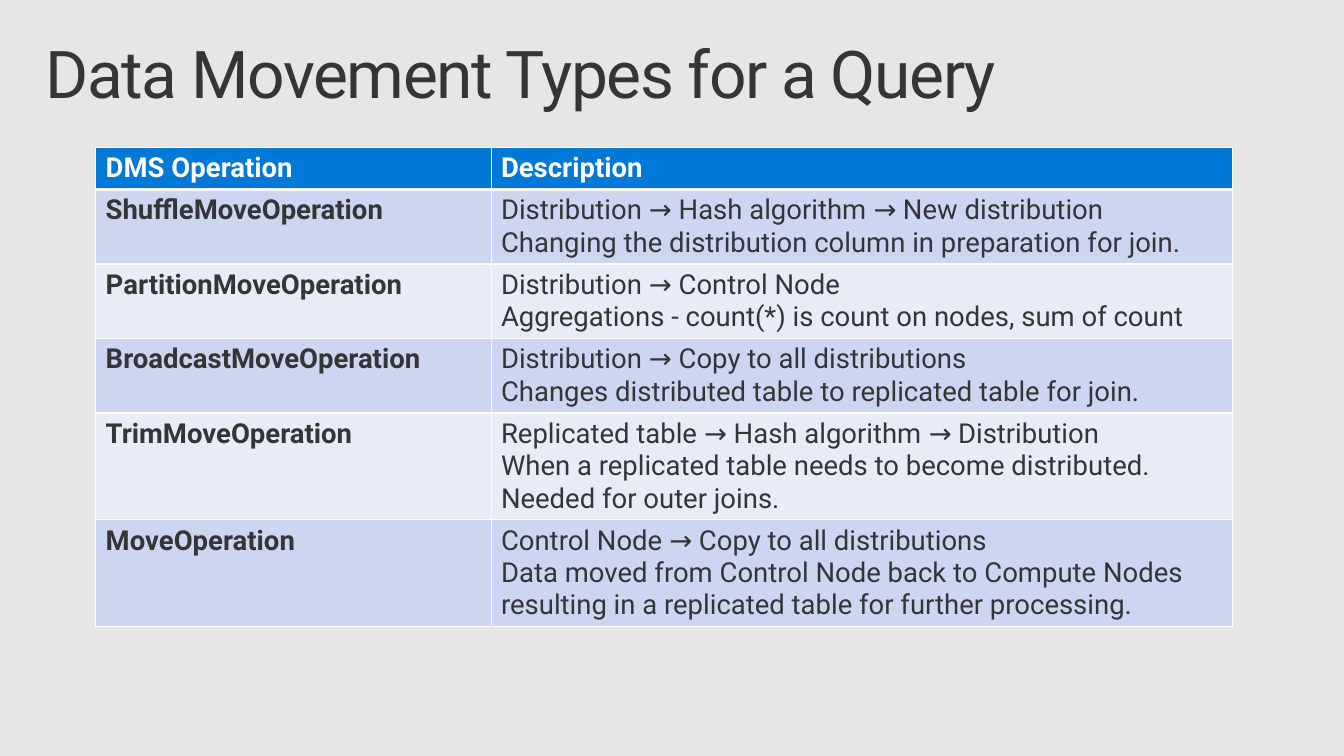
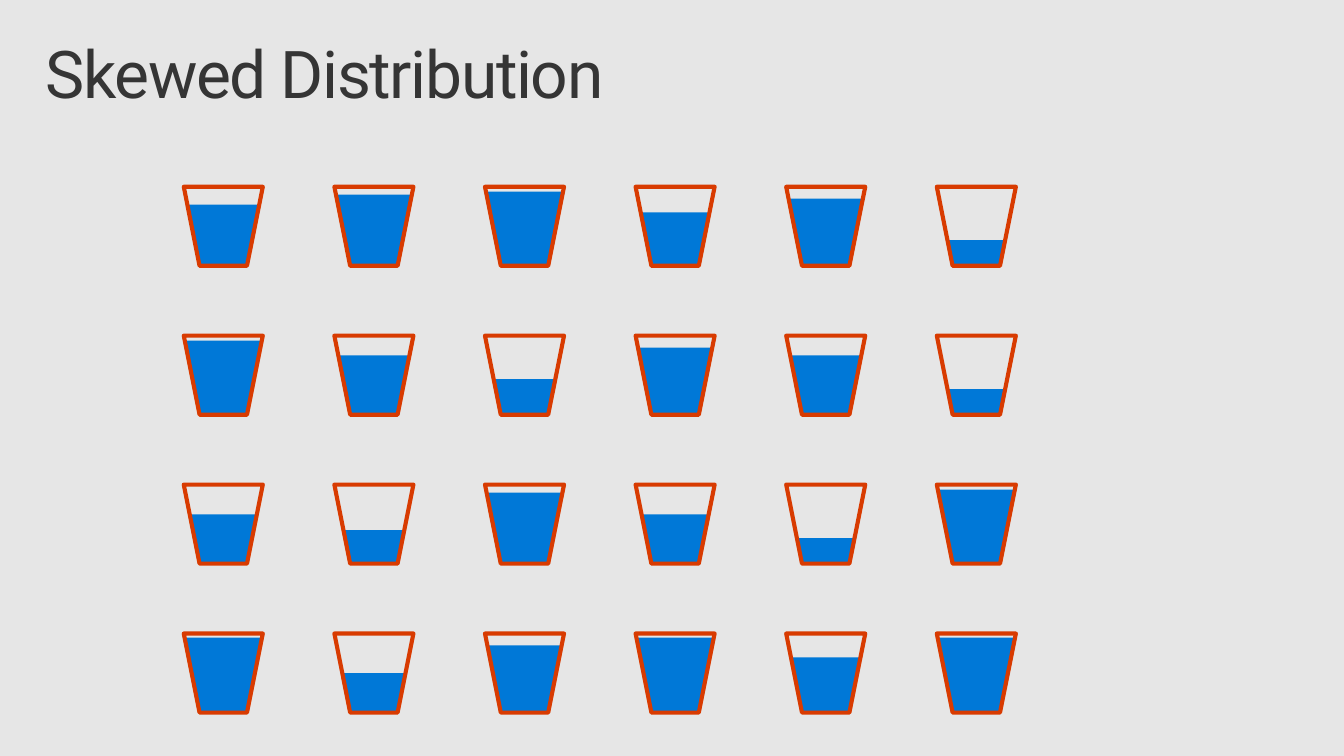
from dataclasses import dataclass

from lxml import etree
from pptx import Presentation
from pptx.dml.color import RGBColor
from pptx.enum.shapes import MSO_SHAPE
from pptx.enum.text import MSO_ANCHOR, MSO_AUTO_SIZE, PP_ALIGN
from pptx.oxml.ns import qn
from pptx.slide import Slide
from pptx.table import _Cell
from pptx.text.text import _Paragraph
from pptx.util import Inches, Pt

CUP = MSO_SHAPE.FLOWCHART_MANUAL_OPERATION
WATER = MSO_SHAPE.TRAPEZOID
TOP, MIDDLE = MSO_ANCHOR.TOP, MSO_ANCHOR.MIDDLE
LEFT = PP_ALIGN.LEFT
NO_FIT = MSO_AUTO_SIZE.NONE
TITLE_ONLY = 5


@dataclass(frozen=True)
class Theme:
    font: str = "Roboto"
    background: str = "E6E6E6"
    text: str = "353535"
    white: str = "FFFFFF"
    blue: str = "0078D7"
    orange: str = "D83B01"
    bands: tuple[str, str] = ("CCD6F0", "E7ECF8")
    title_size: int = 48
    table_size: int = 20
    thin: int = 1
    thick: int = 3


@dataclass(frozen=True)
class Operation:
    name: str
    description: tuple[str, ...]


@dataclass(frozen=True)
class CupGrid:
    """Cup positions and proportions, in inches."""
    left: float = 1.86
    top: float = 1.89
    col_step: float = 1.524
    row_step: float = 1.507
    size: float = 0.8
    base: float = 0.48
    taper: float = 0.22


THEME = Theme()
GRID = CupGrid()

OPERATIONS = (
    Operation("ShuffleMoveOperation", (
        "Distribution → Hash algorithm → New distribution",
        "Changing the distribution column in preparation for join.")),
    Operation("PartitionMoveOperation", (
        "Distribution → Control Node",
        "Aggregations - count(*) is count on nodes, sum of count")),
    Operation("BroadcastMoveOperation", (
        "Distribution → Copy to all distributions",
        "Changes distributed table to replicated table for join.")),
    Operation("TrimMoveOperation", (
        "Replicated table → Hash algorithm → Distribution",
        "When a replicated table needs to become distributed.",
        "Needed for outer joins.")),
    Operation("MoveOperation", (
        "Control Node → Copy to all distributions",
        "Data moved from Control Node back to Compute Nodes "
        "resulting in a replicated table for further processing.")),
)

# Water depth in each cup, in inches
WATER_DEPTHS = (
    (0.62, 0.72, 0.75, 0.54, 0.68, 0.26),
    (0.75, 0.60, 0.36, 0.68, 0.60, 0.26),
    (0.50, 0.34, 0.72, 0.50, 0.26, 0.75),
    (0.76, 0.40, 0.68, 0.76, 0.56, 0.76),
)


def rgb(color: str) -> RGBColor:
    return RGBColor.from_string(color)


def add_run(p: _Paragraph, text: str, size: int, color: str, bold: bool = False):
    r = p.add_run()
    r.text = text
    r.font.name = THEME.font
    r.font.size = Pt(size)
    r.font.bold = bold
    r.font.color.rgb = rgb(color)
    return r


def add_slide(prs, title: str) -> Slide:
    s = prs.slides.add_slide(prs.slide_layouts[TITLE_ONLY])
    sp = s.shapes.title
    sp.left, sp.top, sp.width, sp.height = map(Inches, (0.3, 0.32, 13, 1))
    tf = sp.text_frame
    tf.word_wrap = True
    tf.auto_size = NO_FIT
    tf.vertical_anchor = TOP
    tf.margin_left = tf.margin_right = Inches(0.16)
    tf.margin_top = tf.margin_bottom = Inches(0.1)
    p = tf.paragraphs[0]
    p.alignment = LEFT
    p.line_spacing = 0.9
    r = add_run(p, title, THEME.title_size, THEME.text)
    r.font._element.set("spc", "-100")
    return s


def set_borders(cell: _Cell, top: int, bottom: int) -> None:
    """Draw white cell edges; must run before the cell is filled."""
    tc_pr = cell._tc.get_or_add_tcPr()
    widths = {"L": THEME.thin, "R": THEME.thin, "T": top, "B": bottom}
    for side, width in widths.items():
        ln = etree.SubElement(tc_pr, qn(f"a:ln{side}"), w=str(Pt(width)))
        fill = etree.SubElement(ln, qn("a:solidFill"))
        etree.SubElement(fill, qn("a:srgbClr"), val=THEME.white)


def fill_cell(cell: _Cell, lines: tuple[str, ...], row: int, bold: bool) -> None:
    header = row == 0
    set_borders(cell,
                top=THEME.thick if row == 1 else THEME.thin,
                bottom=THEME.thick if header else THEME.thin)
    cell.fill.solid()
    cell.fill.fore_color.rgb = rgb(THEME.blue if header else THEME.bands[(row - 1) % 2])
    cell.vertical_anchor = TOP if bold else MIDDLE
    tf = cell.text_frame
    for i, line in enumerate(lines):
        p = tf.add_paragraph() if i else tf.paragraphs[0]
        add_run(p, line, THEME.table_size, THEME.white if header else THEME.text, bold)


def add_operations_table(s: Slide) -> None:
    rows = (Operation("DMS Operation", ("Description",)), *OPERATIONS)
    frame = s.shapes.add_table(len(rows), 2, Inches(0.97), Inches(1.49),
                               Inches(11.5), Inches(4.93))
    table = frame.table
    for column, width in zip(table.columns, (4, 7.5)):
        column.width = Inches(width)
    for i, op in enumerate(rows):
        table.rows[i].height = Inches(0.41)
        fill_cell(table.cell(i, 0), (op.name,), i, bold=True)
        fill_cell(table.cell(i, 1), op.description, i, bold=i == 0)
    frame.height = Inches(4.93)


def add_cup(s: Slide, col: int, row: int, depth: float) -> None:
    """Draw a cup whose water is as wide as the cup at that depth."""
    x = GRID.left + col * GRID.col_step
    y = GRID.top + row * GRID.row_step
    width = GRID.base + (GRID.size - GRID.base) * depth / GRID.size
    water = s.shapes.add_shape(WATER, Inches(x + (GRID.size - width) / 2),
                               Inches(y + GRID.size - depth),
                               Inches(width), Inches(depth))
    water.rotation = 180
    water.adjustments[0] = GRID.taper
    water.fill.solid()
    water.fill.fore_color.rgb = rgb(THEME.blue)
    water.line.fill.background()

    cup = s.shapes.add_shape(CUP, Inches(x), Inches(y),
                             Inches(GRID.size), Inches(GRID.size))
    cup.fill.background()
    cup.line.color.rgb = rgb(THEME.orange)
    cup.line.width = Pt(THEME.thick)
    for sp in (water, cup):
        sp.shadow.inherit = False


def main() -> None:
    prs = Presentation()
    prs.slide_width, prs.slide_height = Inches(13.6), Inches(7.65)
    background = prs.slide_master.background.fill
    background.solid()
    background.fore_color.rgb = rgb(THEME.background)

    add_operations_table(add_slide(prs, "Data Movement Types for a Query"))

    s = add_slide(prs, "Skewed Distribution")
    for row, depths in enumerate(WATER_DEPTHS):
        for col, depth in enumerate(depths):
            add_cup(s, col, row, depth)

    prs.save("out.pptx")


if __name__ == "__main__":
    main()
